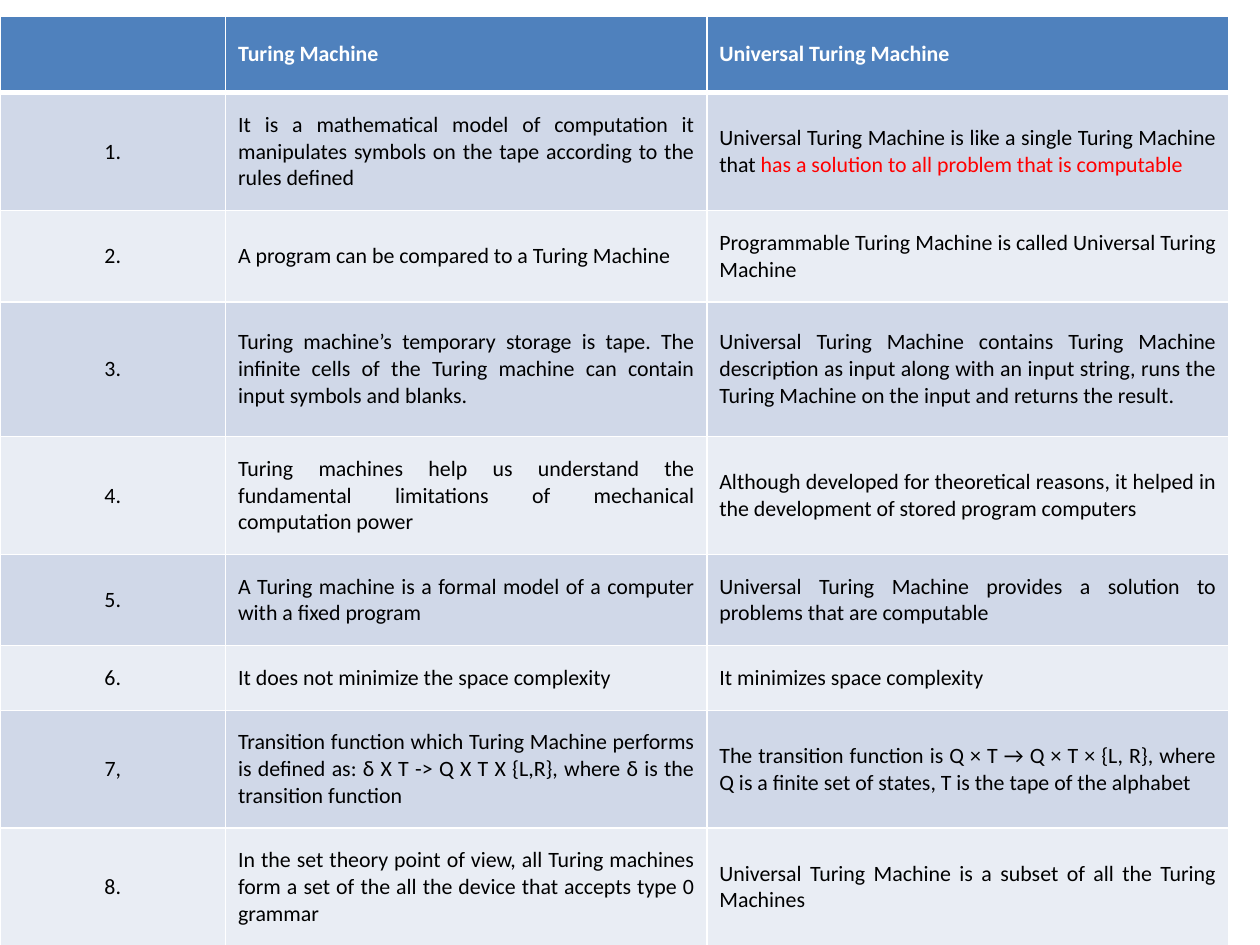
from lxml import etree
from pptx import Presentation
from pptx.dml.color import RGBColor
from pptx.enum.text import MSO_ANCHOR, PP_ALIGN
from pptx.oxml.ns import qn
from pptx.util import Inches, Pt

MIDDLE = MSO_ANCHOR.MIDDLE
CENTER, JUSTIFY = PP_ALIGN.CENTER, PP_ALIGN.JUSTIFY

# Content: each body row is number, Turing machine, universal Turing machine;
# a tuple holds plain text followed by highlighted text
HEADER = ["", "Turing Machine", "Universal Turing Machine"]
BODY = [
    ["1.",
     "It is a mathematical model of computation it manipulates symbols on the tape "
     "according to the rules defined",
     ("Universal Turing Machine is like a single Turing Machine that ",
      "has a solution to all problem that is computable")],
    ["2.",
     "A program can be compared to a Turing Machine",
     "Programmable Turing Machine is called Universal Turing Machine"],
    ["3.",
     "Turing machine’s temporary storage is tape. The infinite cells of the Turing "
     "machine can contain input symbols and blanks.",
     "Universal Turing Machine contains Turing Machine description as input along with "
     "an input string, runs the Turing Machine on the input and returns the result."],
    ["4.",
     "Turing machines help us understand the fundamental limitations of mechanical "
     "computation power",
     "Although developed for theoretical reasons, it helped in the development of "
     "stored program computers"],
    ["5.",
     "A Turing machine is a formal model of a computer with a fixed program",
     "Universal Turing Machine provides a solution to problems that are computable"],
    ["6.",
     "It does not minimize the space complexity",
     "It minimizes space complexity"],
    ["7,",
     "Transition function which Turing Machine performs is defined as: "
     "δ X T -> Q X T X {L,R}, where δ is the transition function",
     "The transition function is Q × T → Q × T × {L, R}, where Q is a finite set of "
     "states, T is the tape of the alphabet"],
    ["8.",
     "In the set theory point of view, all Turing machines form a set of the all the "
     "device that accepts type 0 grammar",
     "Universal Turing Machine is a subset of all the Turing Machines"],
]

THEME = {
    "font": "Calibri", "size": 12.5,
    "header": "4F81BD", "bands": ["D0D8E8", "E9EDF4"],
    "border": "FFFFFF", "header_text": "FFFFFF",
    "text": "000000", "highlight": "FF0000",
}
LEFT, TOP = 0, 0.13
COLS = [1.79, 3.82, 4.14]
ROWS = [0.58, 0.93, 0.71, 1.07, 0.92, 0.71, 0.5, 0.93, 0.92]
PAD_X, PAD_Y = 0.1, 0.15


def write(cell, text, color, bold=False, align=JUSTIFY):
    """Write plain text, or a (plain, highlighted) pair, into a cell."""
    p = cell.text_frame.paragraphs[0]
    p.alignment = align
    parts = text if isinstance(text, tuple) else (text,)
    for part, part_color in zip(parts, (color, THEME["highlight"])):
        if not part:
            continue
        r = p.add_run()
        r.text = part
        r.font.name, r.font.size, r.font.bold = THEME["font"], Pt(THEME["size"]), bold
        r.font.color.rgb = RGBColor.from_string(part_color)


def set_borders(cell, **widths):
    """Draw the cell's four borders, before its fill in the XML order."""
    tc_pr = cell._tc.get_or_add_tcPr()
    for i, side in enumerate("LRTB"):
        ln = etree.Element(qn("a:ln" + side), w=str(Pt(widths.get(side, 1))))
        fill = etree.SubElement(ln, qn("a:solidFill"))
        etree.SubElement(fill, qn("a:srgbClr"), val=THEME["border"])
        tc_pr.insert(i, ln)


prs = Presentation()
prs.slide_width, prs.slide_height = Inches(10), Inches(7.5)
s = prs.slides.add_slide(prs.slide_layouts[6])

# Table grid
table = s.shapes.add_table(len(ROWS), len(COLS), Inches(LEFT), Inches(TOP),
                           Inches(sum(COLS)), Inches(sum(ROWS))).table
for col, width in zip(table.columns, COLS):
    col.width = Inches(width)
for row, height in zip(table.rows, ROWS):
    row.height = Inches(height)

# Cells: header row, then banded body rows
for i, row in enumerate([HEADER] + BODY):
    is_header = i == 0
    fill = THEME["header"] if is_header else THEME["bands"][(i - 1) % 2]
    for j, text in enumerate(row):
        cell = table.cell(i, j)
        cell.vertical_anchor = MIDDLE
        cell.margin_left = cell.margin_right = Inches(PAD_X)
        cell.margin_top = cell.margin_bottom = Inches(PAD_Y)
        cell.fill.solid()
        cell.fill.fore_color.rgb = RGBColor.from_string(fill)
        set_borders(cell, T=3 if i == 1 else 1, B=3 if is_header else 1)
        write(cell, text, THEME["header_text" if is_header else "text"],
              bold=is_header, align=CENTER if j == 0 else JUSTIFY)

prs.save("out.pptx")
